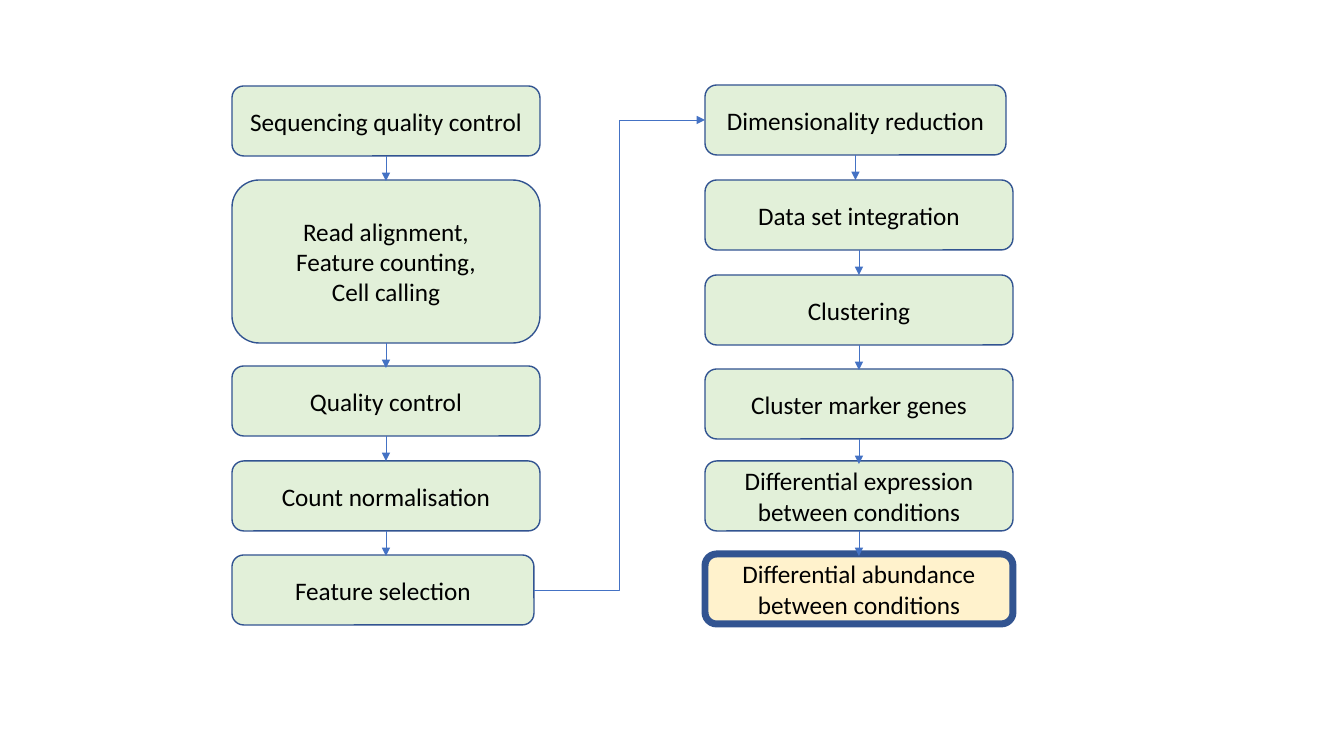
import pptx
import pptx.util
import pptx.dml.color
import pptx.enum.shapes
import pptx.enum.text
import pptx.oxml.ns
from lxml import etree

SCALE = 9144 / 1.008  # EMU per pixel
SLIDE_WIDTH, SLIDE_HEIGHT = 1344, 756
STEP_WIDTH, STEP_HEIGHT, ARROW_LENGTH = 308, 70, 25
COLORS = {"step": "E2F0D9", "current": "FFF2CC", "border": "325491",
          "arrow": "4472C4", "text": "000000"}

# Each column: left edge and its steps as (text, top, format that differs)
COLUMNS = [
    (232, [
        ("Sequencing quality control", 86, {}),
        ("Read alignment,\nFeature counting,\nCell calling", 180, {"height": 163}),
        ("Quality control", 366, {}),
        ("Count normalisation", 461, {}),
        ("Feature selection", 555, {"width": 302}),
    ]),
    (705, [
        ("Dimensionality reduction", 85, {"width": 301}),
        ("Data set integration", 180, {}),
        ("Clustering", 275, {}),
        ("Cluster marker genes", 369, {}),
        ("Differential expression between conditions", 461, {}),
        ("Differential abundance between conditions", 554,
         {"fill": "current", "border_width": 5}),
    ]),
]


def px(length):
    """Turn pixels into EMU."""
    return pptx.util.Emu(round(length * SCALE))


def rgb(name):
    """Look up a named colour."""
    return pptx.dml.color.RGBColor.from_string(COLORS[name])


def write(frame, text, size=18, font="Calibri", color="text"):
    """Fill a text frame with centred paragraphs, one per line of text."""
    frame.word_wrap = True
    frame.vertical_anchor = pptx.enum.text.MSO_ANCHOR.MIDDLE
    frame.text = text
    for paragraph in frame.paragraphs:
        paragraph.alignment = pptx.enum.text.PP_ALIGN.CENTER
        paragraph.font.size = pptx.util.Pt(size)
        for run in paragraph.runs:
            run.font.size = pptx.util.Pt(size)
            run.font.name = font
            run.font.color.rgb = rgb(color)


def add_step(slide, text, left, top, width=STEP_WIDTH, height=STEP_HEIGHT,
             fill="step", border_width=1):
    """Draw one rounded step of the workflow."""
    step = slide.shapes.add_shape(
        pptx.enum.shapes.MSO_SHAPE.ROUNDED_RECTANGLE,
        px(left), px(top), px(width), px(height))
    step.shadow.inherit = False
    step.fill.solid()
    step.fill.fore_color.rgb = rgb(fill)
    step.line.color.rgb = rgb("border")
    step.line.width = pptx.util.Pt(border_width)
    write(step.text_frame, text)
    return step


def add_arrow(slide, start, end, kind="STRAIGHT"):
    """Draw a thin connector with an arrowhead at its end, points in EMU."""
    arrow = slide.shapes.add_connector(
        pptx.enum.shapes.MSO_CONNECTOR[kind], *start, *end)
    arrow.line.color.rgb = rgb("arrow")
    arrow.line.width = pptx.util.Pt(0.5)
    qn = pptx.oxml.ns.qn
    etree.SubElement(arrow.line._get_or_add_ln(), qn("a:tailEnd"), type="triangle")
    etree.SubElement(arrow._element.spPr, qn("a:effectLst"))


def add_column(slide, left, steps):
    """Draw a column of steps joined by downward arrows."""
    drawn = [add_step(slide, text, left, top, **style) for text, top, style in steps]
    for step in drawn[:-1]:
        center, bottom = step.left + step.width // 2, step.top + step.height
        add_arrow(slide, (center, bottom), (center, bottom + px(ARROW_LENGTH)))
    return drawn


presentation = pptx.Presentation()
presentation.slide_width = px(SLIDE_WIDTH)
presentation.slide_height = px(SLIDE_HEIGHT)
workflow = presentation.slides.add_slide(presentation.slide_layouts[6])

preprocessing, analysis = [add_column(workflow, *column) for column in COLUMNS]
feature_selection, reduction = preprocessing[-1], analysis[0]
add_arrow(workflow,
          (feature_selection.left + feature_selection.width,
           feature_selection.top + feature_selection.height // 2),
          (reduction.left, reduction.top + reduction.height // 2),
          kind="ELBOW")

presentation.save("out.pptx")
